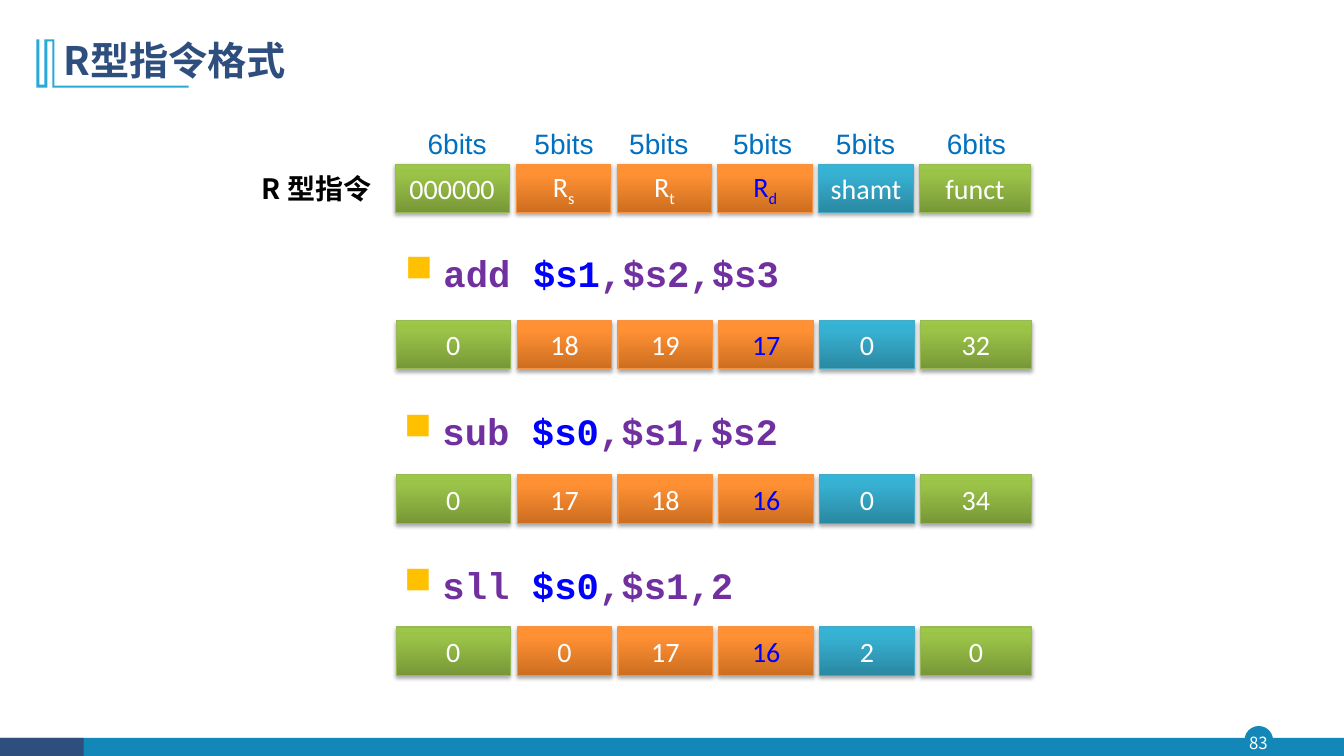
from copy import deepcopy
from dataclasses import dataclass
from typing import Any

from lxml import etree
from pptx import Presentation
from pptx import util as u
from pptx.dml.color import RGBColor
from pptx.enum import shapes, text
from pptx.oxml.ns import qn


@dataclass(frozen=True)
class Paint:
    dark: str
    middle: str
    light: str
    line: str


@dataclass(frozen=True)
class Theme:
    green: Paint = Paint("779737", "9BC348", "9DC746", "98B955")
    orange: Paint = Paint("CC6E20", "FF9034", "FF9136", "F69240")
    teal: Paint = Paint("2A88A2", "37B1D2", "34B4D6", "46AAC5")
    white: str = "FFFFFF"
    black: str = "000000"
    navy: str = "2E4E7E"
    footer: str = "1387B7"
    ornament: str = "28A9D6"
    width_label: str = "0070C0"
    code: str = "7030A0"
    destination: str = "0000FF"
    bullet: str = "FFC000"
    heading_font: str = "Noto Sans CJK SC"
    cell_font: str = "Calibri"
    label_font: str = "Arial"
    code_font: str = "Courier New"
    title_size: float = 28
    body_size: float = 20
    code_size: float = 26.6
    number_size: float = 12


THEME = Theme()


@dataclass(frozen=True)
class Field:
    left: float
    width: float
    bits: str
    label_left: float
    paint: Paint
    ink: str = THEME.white


@dataclass(frozen=True)
class Encoding:
    left: float
    top: float
    values: tuple[str, ...]


@dataclass(frozen=True)
class Instruction:
    left: float
    top: float
    operation: str
    destination: str
    operands: str
    encoding: Encoding


FIELDS = (
    Field(0, 1.13, "6bits", 4.05, THEME.green),
    Field(1.2, 0.94, "5bits", 5.11, THEME.orange),
    Field(2.2, 0.94, "5bits", 6.05, THEME.orange),
    Field(3.2, 0.94, "5bits", 7.08, THEME.orange, THEME.destination),
    Field(4.2, 0.94, "5bits", 8.1, THEME.teal),
    Field(5.2, 1.1, "6bits", 9.2, THEME.green),
)
# An underscore separates a letter from its subscript.
FORMAT = Encoding(3.92, 1.63, ("000000", "R_s", "R_t", "R_d", "shamt", "funct"))
INSTRUCTIONS = (
    Instruction(3.92, 2.34, "add ", "$s1", ",$s2,$s3",
                Encoding(3.93, 3.18, ("0", "18", "19", "17", "0", "32"))),
    Instruction(3.91, 3.91, "sub ", "$s0", ",$s1,$s2",
                Encoding(3.93, 4.71, ("0", "17", "18", "16", "0", "34"))),
    Instruction(3.91, 5.44, "sll ", "$s0", ",$s1,2",
                Encoding(3.93, 6.22, ("0", "0", "17", "16", "2", "0"))),
)
CELL_HEIGHT = 0.48
ORNAMENT = ((54, 39), (54, 85), (187, 85), (187, 87), (52, 87), (52, 41), (47, 41),
            (47, 87), (36, 87), (36, 39), (39, 39), (39, 84), (44, 84), (44, 39))


def box(left: float, top: float, width: float, height: float) -> list[int]:
    return [u.Inches(value) for value in (left, top, width, height)]


def assign(target: Any, values: dict[str, Any]) -> None:
    for name, value in values.items():
        setattr(target, name, value)


def add_run(paragraph: Any, words: str, font: str, size: float, color: str,
            bold: bool = False) -> Any:
    run = paragraph.add_run()
    run.text = words
    assign(run.font, {"name": font, "size": u.Pt(size), "bold": bold})
    run.font.color.rgb = RGBColor.from_string(color)
    etree.SubElement(run.font._element, qn("a:ea"), typeface=font)
    return run


def centre(frame: Any, anchor: Any = text.MSO_ANCHOR.MIDDLE) -> Any:
    """Centre the frame's text and return its paragraph."""
    assign(frame, {"word_wrap": True, "vertical_anchor": anchor})
    frame.paragraphs[0].alignment = text.PP_ALIGN.CENTER
    return frame.paragraphs[0]


def flatten(shape: Any, color: str) -> Any:
    """Give the shape a plain fill with neither line nor shadow."""
    shape.shadow.inherit = False
    shape.fill.solid()
    shape.fill.fore_color.rgb = RGBColor.from_string(color)
    shape.line.fill.background()
    return shape


def add_flat(parent: Any, place: list[int], color: str,
             kind: Any = shapes.MSO_SHAPE.RECTANGLE) -> Any:
    return flatten(parent.add_shape(kind, *place), color)


def paint_cell(cell: Any, paint: Paint) -> None:
    cell.fill.gradient()
    cell.fill.gradient_angle = 90
    stops = cell._element.spPr.find(qn("a:gradFill")).find(qn("a:gsLst"))
    stops.append(deepcopy(stops[-1]))
    colors = (paint.dark, paint.middle, paint.light)
    for stop, position, color in zip(cell.fill.gradient_stops, (0, 0.8, 1), colors):
        stop.position = position
        stop.color.rgb = RGBColor.from_string(color)
    cell.line.color.rgb = RGBColor.from_string(paint.line)
    cell.line.width = u.Pt(0.75)
    cell.shadow.inherit = False
    effects = cell._element.spPr.find(qn("a:effectLst"))
    shadow = etree.SubElement(effects, qn("a:outerShdw"), blurRad=str(u.Pt(3.1)),
                              dist=str(u.Pt(1.8)), dir="5400000", rotWithShape="0")
    shade = etree.SubElement(shadow, qn("a:srgbClr"), val=THEME.black)
    etree.SubElement(shade, qn("a:alpha"), val="35000")


def add_encoding(slide: Any, encoding: Encoding) -> Any:
    """Draw one row of field cells and return its group."""
    group = slide.shapes.add_group_shape()
    for field, value in zip(FIELDS, encoding.values):
        cell = group.shapes.add_shape(
            shapes.MSO_SHAPE.RECTANGLE,
            *box(encoding.left + field.left, encoding.top, field.width, CELL_HEIGHT))
        paint_cell(cell, field.paint)
        paragraph = centre(cell.text_frame)
        style = (THEME.cell_font, THEME.body_size, field.ink)
        name, _, subscript = value.partition("_")
        add_run(paragraph, name, *style)
        if subscript:
            run = add_run(paragraph, subscript, *style)
            run.font._element.set("baseline", "-25000")
    return group


def add_format(slide: Any) -> None:
    group = add_encoding(slide, FORMAT)
    for field in FIELDS:
        label = group.shapes.add_textbox(*box(field.label_left, 1.21, 0.97, 0.45))
        add_run(centre(label.text_frame, text.MSO_ANCHOR.TOP), field.bits,
                THEME.label_font, THEME.body_size, THEME.width_label)
    caption = add_flat(group.shapes, box(2.43, FORMAT.top, 1.42, CELL_HEIGHT), THEME.white)
    add_run(centre(caption.text_frame), "R 型指令", THEME.heading_font,
            THEME.body_size, THEME.black, True)


def add_instruction(slide: Any, instruction: Instruction) -> None:
    frame = slide.shapes.add_textbox(
        *box(instruction.left, instruction.top, 6.25, 0.55)).text_frame
    frame.word_wrap = True
    line = frame.paragraphs[0]
    line.line_spacing = 1.2
    layout = line._p.get_or_add_pPr()
    assign_indent = {"marL": u.Inches(0.38), "indent": u.Inches(-0.38)}
    for name, value in assign_indent.items():
        layout.set(name, str(value))
    color = etree.SubElement(layout, qn("a:buClr"))
    etree.SubElement(color, qn("a:srgbClr"), val=THEME.bullet)
    etree.SubElement(layout, qn("a:buChar"), char="■")
    for words, ink in ((instruction.operation, THEME.code),
                       (instruction.destination, THEME.destination),
                       (instruction.operands, THEME.code)):
        add_run(line, words, THEME.code_font, THEME.code_size, ink, True)
    add_encoding(slide, instruction.encoding)


def add_frame(slide: Any) -> None:
    """Draw the footer, the slide number and the title with its ornament."""
    disc = add_flat(slide.shapes, box(12.35, 7.21, 0.27, 0.27), THEME.footer,
                    shapes.MSO_SHAPE.OVAL)
    disc.line.color.rgb = RGBColor.from_string(THEME.footer)
    disc.line.width = u.Pt(1)
    add_flat(slide.shapes, box(0, 7.32, 13.33, 0.18), THEME.footer)
    add_flat(slide.shapes, box(0, 7.32, 0.83, 0.18), THEME.navy)
    number = slide.shapes.add_textbox(*box(12.32, 7.21, 0.32, 0.31)).text_frame
    assign(number, dict.fromkeys(
        ("margin_left", "margin_top", "margin_right", "margin_bottom"), 0))
    add_run(centre(number), "83", THEME.heading_font, THEME.number_size, THEME.white)

    outline = slide.shapes.build_freeform(*ORNAMENT[0], scale=u.Inches(0.01))
    outline.add_line_segments(ORNAMENT[1:], close=True)
    flatten(outline.convert_to_shape(), THEME.ornament)

    title = slide.shapes.title
    assign(title, dict(zip(("left", "top", "width", "height"), box(0.53, 0.28, 11.5, 0.68))))
    assign(title.text_frame, {"vertical_anchor": text.MSO_ANCHOR.MIDDLE,
                              "auto_size": text.MSO_AUTO_SIZE.NONE})
    heading = title.text_frame.paragraphs[0]
    assign(heading, {"alignment": text.PP_ALIGN.LEFT, "line_spacing": 0.9})
    add_run(heading, "R型指令格式", THEME.heading_font, THEME.title_size, THEME.navy, True)


def main() -> None:
    deck = Presentation()
    assign(deck, {"slide_width": u.Inches(13.33), "slide_height": u.Inches(7.5)})
    slide = deck.slides.add_slide(deck.slide_layouts.get_by_name("Title Only"))
    add_frame(slide)
    add_format(slide)
    for instruction in INSTRUCTIONS:
        add_instruction(slide, instruction)
    deck.save("out.pptx")


if __name__ == "__main__":
    main()
